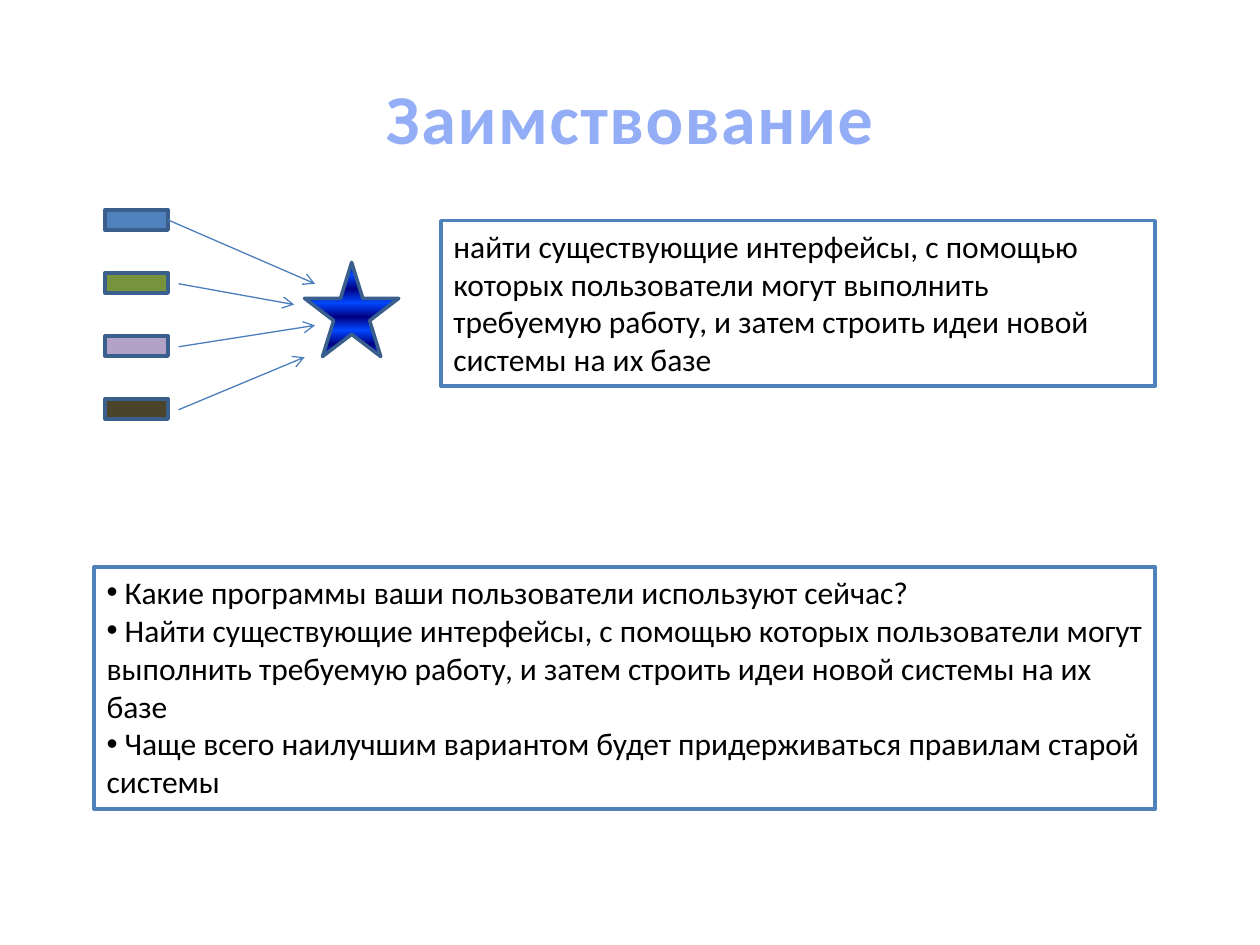
from lxml import etree
from pptx import Presentation
from pptx.dml.color import RGBColor
from pptx.enum.shapes import MSO_CONNECTOR as Conn, MSO_SHAPE as Shape
from pptx.enum.text import MSO_ANCHOR as Anchor, PP_ALIGN as Align
from pptx.oxml.ns import qn
from pptx.util import Cm, Pt

COLORS = {
    "title": "93AEF7", "text": "000000", "white": "FFFFFF",
    "frame": "4F81BD", "edge": "3A5F8C", "arrow": "4B7EBC",
    "blue": "4F81BD", "green": "77933C", "violet": "B3A2C7", "brown": "4A452A",
    "navy": "000082", "bright": "0047FF",
}


def rgb(name):
    return RGBColor.from_string(COLORS[name])


def write(p, text, size=18, color="text", bold=False, align=Align.LEFT,
          spacing=None, bullet=None):
    p.alignment = align
    r = p.add_run()
    r.text = text
    r.font.name, r.font.size, r.font.bold = "Calibri", Pt(size), bold
    r.font.color.rgb = rgb(color)
    if spacing:
        r.font._element.set("spc", str(spacing * 100))
    if bullet:
        pr = p._p.get_or_add_pPr()
        etree.SubElement(pr, qn("a:buFont")).set("typeface", "Arial")
        etree.SubElement(pr, qn("a:buChar")).set("char", bullet)


class SlideBuilder:
    line_width = Pt(2)
    arrow_width = Pt(0.75)

    def __init__(self, slide):
        self.s = slide

    def title(self, text, *box):
        tf = self.s.shapes.add_textbox(*map(Cm, box)).text_frame
        tf.word_wrap = True
        tf.vertical_anchor = Anchor.MIDDLE
        write(tf.paragraphs[0], text, size=40, color="title", bold=True,
              align=Align.CENTER, spacing=1)

    def shape(self, kind, *box, fill="white", line="edge"):
        sp = self.s.shapes.add_shape(kind, *map(Cm, box))
        sp.shadow.inherit = False
        sp.fill.solid()
        sp.fill.fore_color.rgb = rgb(fill)
        sp.line.color.rgb = rgb(line)
        sp.line.width = self.line_width
        return sp

    def frame(self, paragraphs, *box, bullet=None):
        tf = self.shape(Shape.RECTANGLE, *box, line="frame").text_frame
        tf.word_wrap = True
        tf.vertical_anchor = Anchor.TOP
        for i, text in enumerate(paragraphs):
            p = tf.add_paragraph() if i else tf.paragraphs[0]
            write(p, text, bullet=bullet)

    def star(self, *box, stops):
        sp = self.shape(Shape.STAR_5_POINT, *box)
        sp.fill.gradient()
        sp.fill.gradient_angle = 270  # counter-clockwise: top to bottom
        gs_list = sp._element.spPr.find(qn("a:gradFill")).find(qn("a:gsLst"))
        for gs in list(gs_list):
            gs_list.remove(gs)
        for percent, name in stops:
            gs = etree.SubElement(gs_list, qn("a:gs"), pos=str(percent * 1000))
            etree.SubElement(gs, qn("a:srgbClr"), val=COLORS[name])

    def arrow(self, *ends, source=None):
        c = self.s.shapes.add_connector(Conn.STRAIGHT, *map(Cm, ends))
        if source is not None:
            c.begin_connect(source, 3)
        c.line.color.rgb = rgb("arrow")
        c.line.width = self.arrow_width
        etree.SubElement(c.line._get_or_add_ln(), qn("a:tailEnd"), type="arrow")
        etree.SubElement(c._element.spPr, qn("a:effectLst"))


def main():
    prs = Presentation()
    prs.slide_width, prs.slide_height = Cm(25.4), Cm(19.05)
    b = SlideBuilder(prs.slides.add_slide(prs.slide_layouts[6]))

    b.title("Заимствование", 1.27, 0.76, 22.86, 3.18)

    # Column of existing interfaces
    top, step = 4.23, 1.6 * 0.79375
    bars = [b.shape(Shape.RECTANGLE, 2.12, top + i * step, 1.27, 0.41, fill=name)
            for i, name in enumerate(("blue", "green", "violet", "brown"))]

    # Arrows from the bars to the star
    b.arrow(3.39, 4.44, 6.35, 5.72, source=bars[0])
    targets = ((5.93, 6.14), (6.35, 6.56), (6.14, 7.2))
    for i, target in enumerate(targets, start=1):
        b.arrow(3.6, 4.45 + i * step, *target)

    # Star of the new system
    positions = (0, 13, 28, 43, 58, 72, 87, 100)
    b.star(6.14, 5.29, 1.9, 1.9,
           stops=[(pos, ("navy", "bright")[i % 2])
                  for i, pos in enumerate(positions)])

    # Definition and advice
    b.frame(["найти существующие интерфейсы, с помощью которых пользователи "
             "могут выполнить требуемую работу, и затем строить идеи новой "
             "системы на их базе"], 8.89, 4.45, 14.4, 3.33)
    b.frame([" Какие программы ваши пользователи используют сейчас?",
             " Найти существующие интерфейсы, с помощью которых пользователи "
             "могут выполнить требуемую работу, и затем строить идеи новой "
             "системы на их базе",
             " Чаще всего наилучшим вариантом будет придерживаться правилам "
             "старой системы"], 1.9, 11.43, 21.39, 4.88, bullet="•")

    prs.save("out.pptx")


if __name__ == "__main__":
    main()
